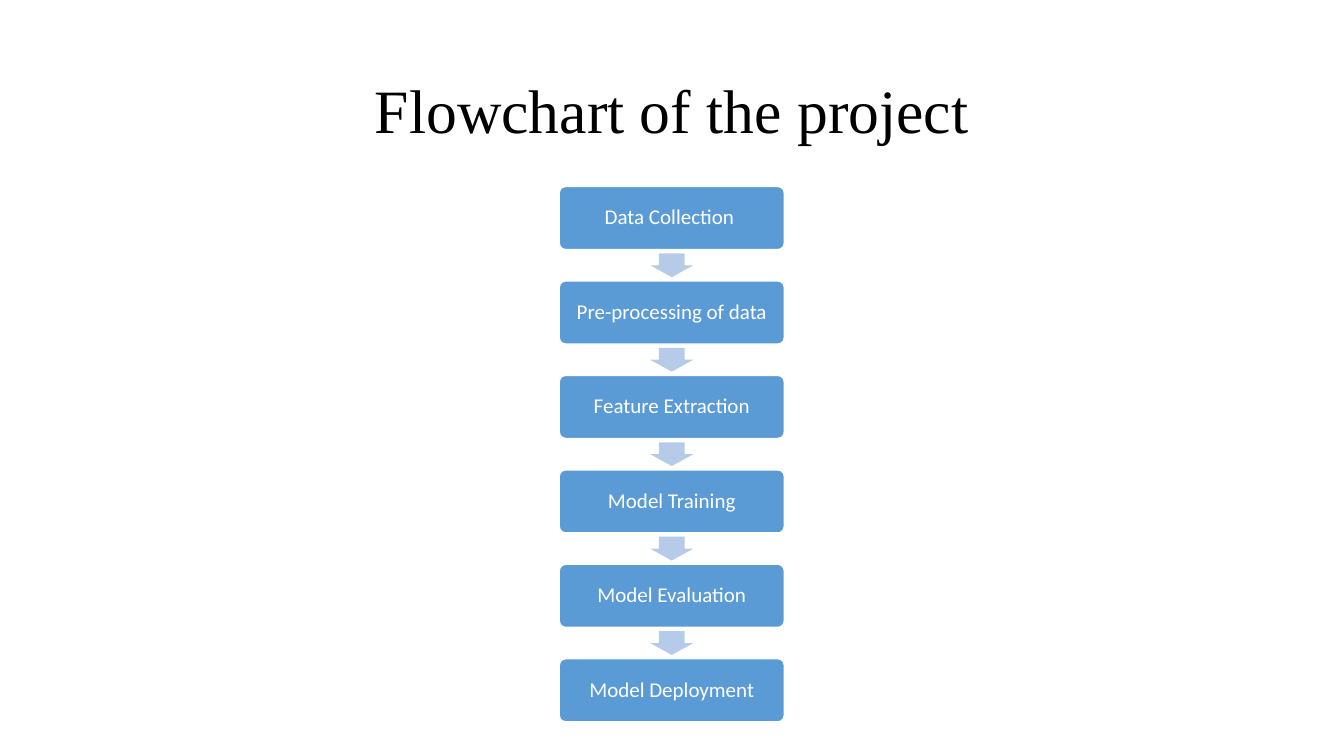
import pptx
import pptx.util
import pptx.dml.color
import pptx.enum.shapes
import pptx.enum.text

Cm = pptx.util.Cm
Pt = pptx.util.Pt
SHAPE = pptx.enum.shapes.MSO_SHAPE

COLORS = {"text": "000000", "step": "5B9BD5", "edge": "FFFFFF", "arrow": "B5CBE7"}
# The trailing space shifts the first centred label slightly left
STEPS = ["Data Collection ", "Pre-processing of data", "Feature Extraction",
         "Model Training", "Model Evaluation", "Model Deployment"]

# Column geometry in centimetres
MID = 16.93
TOP = 4.7
PITCH = 2.38
BOX_W, BOX_H = 5.67, 1.59
ARROW_W, ARROW_H = 1.09, 0.6
GAP = (PITCH - BOX_H - ARROW_H) / 2


def color(name):
    return pptx.dml.color.RGBColor.from_string(COLORS[name])


def write(frame, text, font, size, tint):
    frame.word_wrap = True
    frame.vertical_anchor = pptx.enum.text.MSO_ANCHOR.MIDDLE
    para = frame.paragraphs[0]
    para.alignment = pptx.enum.text.PP_ALIGN.CENTER
    para.line_spacing = 0.9
    run = para.add_run()
    run.text = text
    run.font.name = font
    run.font.size = Pt(size)
    run.font.color.rgb = color(tint)


def add_form(slide, kind, top, width, height, fill, adjust):
    """Add a filled shape centred on the column."""
    form = slide.shapes.add_shape(
        kind, Cm(MID - width / 2), Cm(top), Cm(width), Cm(height))
    form.shadow.inherit = False
    form.fill.solid()
    form.fill.fore_color.rgb = color(fill)
    for index, value in enumerate(adjust):
        form.adjustments[index] = value
    return form


def add_step(slide, top, text):
    box = add_form(slide, SHAPE.ROUNDED_RECTANGLE, top, BOX_W, BOX_H, "step", [0.1])
    box.line.color.rgb = color("edge")
    box.line.width = Pt(1)
    frame = box.text_frame
    frame.margin_left = frame.margin_right = Cm(0.2)
    frame.margin_top = frame.margin_bottom = Cm(0.2)
    write(frame, text, "Calibri", 15, "edge")


def add_arrow(slide, top):
    arrow = add_form(slide, SHAPE.DOWN_ARROW, top, ARROW_W, ARROW_H, "arrow", [0.6, 0.5])
    arrow.line.fill.background()


def add_title(slide, text):
    title = slide.shapes.title
    title.left, title.top = Cm(2.33), Cm(1.02)
    title.width, title.height = Cm(29.21), Cm(3.68)
    write(title.text_frame, text, "Times New Roman", 44, "text")


def main():
    deck = pptx.Presentation()
    deck.slide_width, deck.slide_height = Cm(33.87), Cm(19.05)
    slide = deck.slides.add_slide(deck.slide_layouts[5])

    add_title(slide, "Flowchart of the project")

    # Steps, with an arrow after each one but the last
    for index, text in enumerate(STEPS):
        top = TOP + index * PITCH
        add_step(slide, top, text)
        if index < len(STEPS) - 1:
            add_arrow(slide, top + BOX_H + GAP)

    deck.save("out.pptx")


if __name__ == "__main__":
    main()
